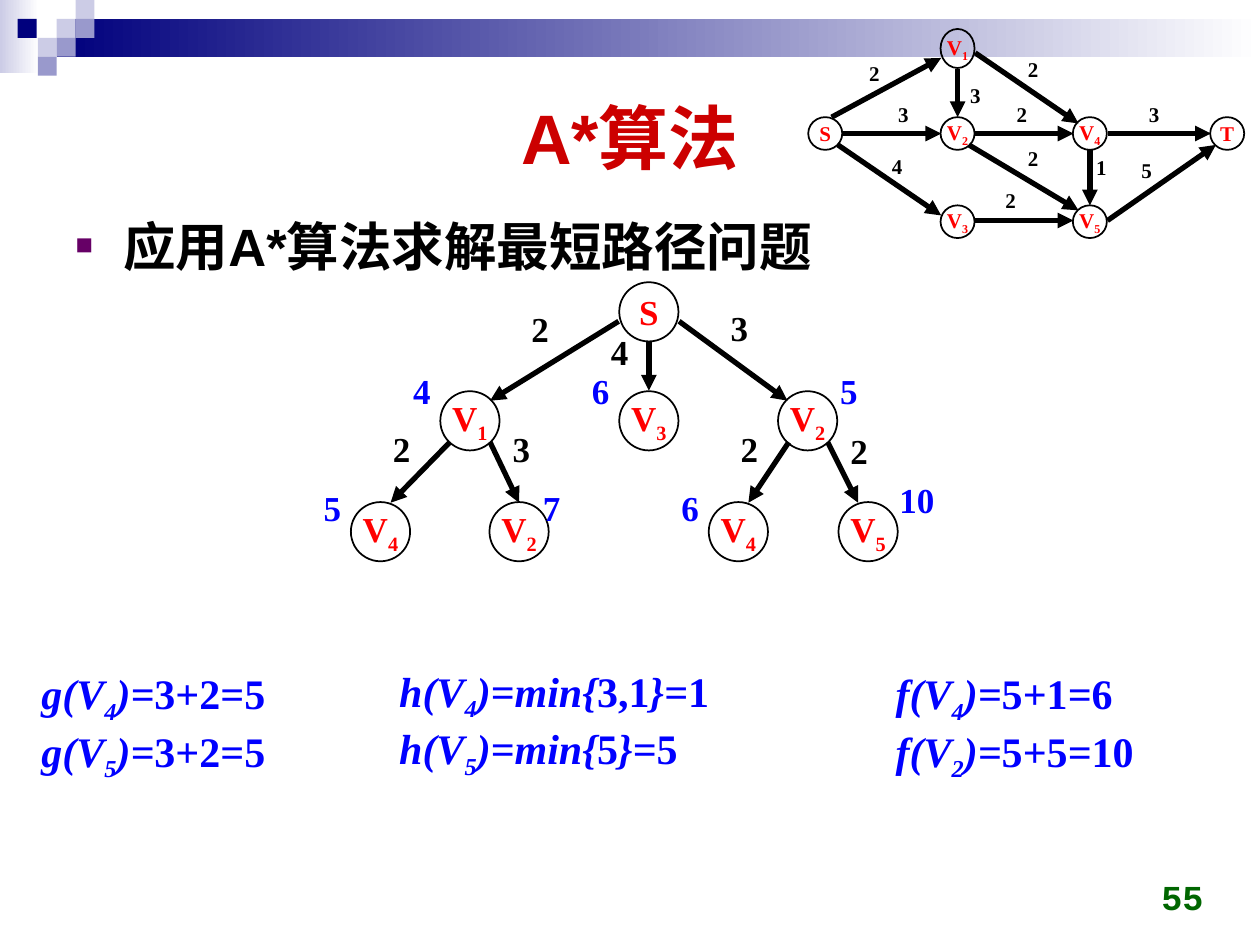
import pptx
import pptx.dml.color
import pptx.enum.shapes
import pptx.enum.text
import pptx.util
from lxml import etree
from pptx.oxml.ns import qn

SHAPES = pptx.enum.shapes.MSO_SHAPE
ALIGN = pptx.enum.text.PP_ALIGN
ANCHOR = pptx.enum.text.MSO_ANCHOR
FIT = pptx.enum.text.MSO_AUTO_SIZE

COLUMNS, ROWS = 100, 75
BLACK, RED, BLUE = "000000", "FF0000", "0000FF"
NAVY, LILAC, VIOLET, WHITE = "00007D", "CCCCE6", "9999CC", "FFFFFF"
SERIF = "Times New Roman"


def color(hex_value):
    """Turn a hex string into a colour."""
    return pptx.dml.color.RGBColor.from_string(hex_value)


class Board:
    """The current slide, its grid and its drawing style."""

    def __init__(self, deck):
        """Add a title-and-content slide and measure its grid."""
        self.slide = deck.slides.add_slide(deck.slide_layouts[1])
        self.column = deck.slide_width / COLUMNS
        self.row = deck.slide_height / ROWS
        self.canvas = self.slide.shapes

    def start_group(self):
        """Draw what follows into a new group."""
        self.canvas = self.slide.shapes.add_group_shape().shapes

    def end_group(self):
        """Draw what follows straight on the slide."""
        self.canvas = self.slide.shapes

    def place(self, *cells):
        """Convert x, y pairs from grid cells to lengths."""
        return [round(cell * (self.row if i % 2 else self.column))
                for i, cell in enumerate(cells)]

    def add_runs(self, paragraph, runs, size, ink, font=SERIF):
        """Add runs of (text, marks); marks: i for italic, _ for subscript."""
        for text, marks in runs:
            run = paragraph.add_run()
            run.text = text
            run.font.size = pptx.util.Pt(size)
            run.font.name = font
            run.font.bold = True
            run.font.italic = "i" in marks
            run.font.color.rgb = color(ink)
            if "_" in marks:
                run._r.get_or_add_rPr().set("baseline", "-25000")

    def placeholder(self, index, box, text, size, ink):
        """Move and fill a template placeholder; return its paragraph."""
        holder = self.slide.placeholders[index]
        holder.left, holder.top, holder.width, holder.height = self.place(*box)
        holder.text_frame.auto_size = FIT.NONE
        paragraph = holder.text_frame.paragraphs[0]
        self.add_runs(paragraph, [(text, "")], size, ink, "Arial")
        return paragraph

    def title(self, box, text):
        """Set the centred slide title."""
        self.placeholder(0, box, text, 40, "CC0000").alignment = ALIGN.CENTER
        self.slide.placeholders[0].text_frame.vertical_anchor = ANCHOR.MIDDLE

    def bullet(self, box, text):
        """Set the body line with a square bullet."""
        paragraph = self.placeholder(1, box, text, 30, BLACK)
        paragraph.line_spacing = 1.05
        paragraph.space_before = pptx.util.Pt(4.5)
        props = paragraph._p.get_or_add_pPr()
        indent = pptx.util.Inches(0.38)
        props.set("marL", str(indent))
        props.set("indent", str(-indent))
        ink = etree.SubElement(props, qn("a:buClr"))
        etree.SubElement(ink, qn("a:srgbClr"), val="660066")
        etree.SubElement(props, qn("a:buSzPct"), val="55000")
        etree.SubElement(props, qn("a:buFont"), typeface="Arial")
        etree.SubElement(props, qn("a:buChar"), char="■")

    def block(self, box, *inks):
        """Draw a rectangle, shaded left to right if given two colours."""
        rect = self.canvas.add_shape(SHAPES.RECTANGLE, *self.place(*box))
        rect.shadow.inherit = False
        rect.line.fill.background()
        if len(inks) == 1:
            rect.fill.solid()
            rect.fill.fore_color.rgb = color(inks[0])
        else:
            rect.fill.gradient()
            rect.fill.gradient_angle = 0
            for position, (stop, ink) in enumerate(zip(rect.fill.gradient_stops, inks)):
                stop.position = position
                stop.color.rgb = color(ink)

    def node(self, x, y, label, width, height, size):
        """Draw a graph node centred on x, y; digits become a subscript."""
        ring = self.canvas.add_shape(
            SHAPES.OVAL, *self.place(x - width / 2, y - height / 2, width, height))
        ring.shadow.inherit = False
        ring.fill.background()
        ring.line.color.rgb = color(BLACK)
        ring.line.width = pptx.util.Pt(1)
        frame = ring.text_frame
        frame.word_wrap = False
        frame.vertical_anchor = ANCHOR.MIDDLE
        frame.paragraphs[0].alignment = ALIGN.CENTER
        runs = [(label[0], "")] + [(digit, "_") for digit in label[1:]]
        self.add_runs(frame.paragraphs[0], runs, size, RED)

    def arrow(self, *ends):
        """Draw an arrow from the first point to the second."""
        edge = self.canvas.add_connector(
            pptx.enum.shapes.MSO_CONNECTOR.STRAIGHT, *self.place(*ends))
        edge.line.color.rgb = color(BLACK)
        edge.line.width = pptx.util.Pt(3)
        etree.SubElement(edge.line._get_or_add_ln(), qn("a:tailEnd"), type="triangle")
        etree.SubElement(edge._element.spPr, qn("a:effectLst"))

    def text(self, box, lines, size, ink):
        """Put unwrapped lines of runs in a text box."""
        frame = self.canvas.add_textbox(*self.place(*box)).text_frame
        frame.word_wrap = False
        frame.auto_size = FIT.SHAPE_TO_FIT_TEXT
        for i, runs in enumerate(lines):
            paragraph = frame.add_paragraph() if i else frame.paragraphs[0]
            self.add_runs(paragraph, runs, size, ink)

    def number(self, x, y, value, size, ink):
        """Put an edge cost or node estimate at x, y."""
        width, height = (2.9, 3) if size == 12 else (2 + 1.4 * len(value), 4.4)
        self.text((x, y, width, height), [[(value, "")]], size, ink)

    def page_number(self, box, value):
        """Put the page number at the lower right."""
        frame = self.canvas.add_textbox(*self.place(*box)).text_frame
        frame.word_wrap = True
        frame.vertical_anchor = ANCHOR.BOTTOM
        frame.paragraphs[0].alignment = ALIGN.RIGHT
        self.add_runs(frame.paragraphs[0], [(value, "")], 20, "006600", "Courier New")


deck = pptx.Presentation()
deck.slide_width, deck.slide_height = pptx.util.Inches(10), pptx.util.Inches(7.5)
board = Board(deck)

board.start_group()
board.block((0, 0, 3.1, 5.8), LILAC, WHITE)
board.block((4.5, 1.5, 95.5, 3), NAVY, WHITE)
for x, y, ink in [(4.5, 1.5, LILAC), (6, 0, LILAC), (6, 1.5, VIOLET), (3, 3, LILAC),
                  (1.4, 1.5, NAVY), (4.5, 3, VIOLET), (3, 4.5, VIOLET)]:
    board.block((x, y, 1.5, 1.5), ink)
board.end_group()

board.title((5, 5, 90, 11.6), "A*算法")
board.bullet((5, 16.2, 90, 52), "应用A*算法求解最短路径问题")
board.page_number((73.2, 68.3, 23.3, 5), "55")

board.start_group()
for x, y, label in [(65.5, 10.6, "S"), (76, 17.6, "V3"), (76, 10.6, "V2"), (76, 3.85, "V1"),
                    (86.5, 10.6, "V4"), (86.5, 17.6, "V5"), (97.4, 10.6, "T")]:
    board.node(x, y, label, 2.7, 3.1 if label == "V1" else 2.6, 12)
for ends in [(66, 9.3, 74.7, 4.6), (66.9, 10.6, 74.7, 10.6), (66.5, 11.5, 74.7, 17.1),
             (77.4, 4.2, 85.6, 9.8), (77.4, 10.6, 85.2, 10.6), (77.4, 17.5, 85.2, 17.5),
             (76.9, 11.5, 85.6, 16.7), (76, 5.5, 76, 9.3), (87.9, 10.6, 96.1, 10.6),
             (86.5, 11.9, 86.5, 16.3), (87.9, 17.5, 96.5, 11.5)]:
    board.arrow(*ends)
for x, y, cost in [(68, 4.3, "2"), (70.3, 7.6, "3"), (69.8, 11.7, "4"), (76, 6.1, "3"),
                   (80.6, 4, "2"), (79.7, 7.6, "2"), (80.6, 11.1, "2"), (78.8, 14.4, "2"),
                   (90.2, 7.6, "3"), (89.6, 12, "5"), (86, 11.8, "1")]:
    board.number(x, y, cost, 12, BLACK)
board.end_group()

tree_levels = [
    (24.75, [(51.5, "S")]),
    (33.4, [(37.3, "V1"), (51.5, "V3"), (64.1, "V2")]),
    (42.2, [(30.2, "V4"), (41.2, "V2"), (58.6, "V4"), (68.9, "V5")]),
]
for y, members in tree_levels:
    for x, label in members:
        board.node(x, y, label, 4.7, 4.7, 20)
for ends in [(49.1, 25.5, 38.9, 31.8), (51.5, 27.1, 51.5, 31), (53.9, 25.5, 62.5, 31.8),
             (35.7, 35.1, 31, 39.9), (38.9, 35.1, 41.2, 39.9),
             (62.6, 35.1, 59.4, 39.9), (65.7, 35.1, 68.1, 39.9)]:
    board.arrow(*ends)
for x, y, cost in [(41.2, 23.9, "2"), (47.5, 25.7, "4"), (57, 23.8, "3"), (30.2, 33.4, "2"),
                   (39.7, 33.4, "3"), (57.8, 33.4, "2"), (66.5, 33.6, "2")]:
    board.number(x, y, cost, 20, BLACK)
for x, y, estimate in [(31.8, 28.8, "4"), (46, 28.8, "6"), (65.7, 28.8, "5"), (24.7, 38.1, "5"),
                       (42.1, 38.1, "7"), (53.1, 38.1, "6"), (70.4, 37.5, "10")]:
    board.number(x, y, estimate, 20, BLUE)

formulas = [
    ((2.3, 52.5, 20.1, 9.1), "g", [("4", [(")=", "i"), ("3+2=5", "")]),
                                   ("5", [(")=", "i"), ("3+2=5", "")])]),
    ((30.7, 52.3, 27, 9.1), "h", [("4", [(")=min{", "i"), ("3,1", ""), ("}=", "i"), ("1", "")]),
                                  ("5", [(")=min{", "i"), ("5", ""), ("}=", "i"), ("5", "")])]),
    ((70.1, 52.5, 21.2, 9.1), "f", [("4", [(")=", "i"), ("5+1", ""), ("=", "i"), ("6", "")]),
                                    ("2", [(")=", "i"), ("5+5", ""), ("=", "i"), ("10", "")])]),
]
for box, function, results in formulas:
    lines = [[(function + "(V", "i"), (vertex, "i_"), *rest] for vertex, rest in results]
    board.text(box, lines, 24, BLUE)

deck.save("out.pptx")
